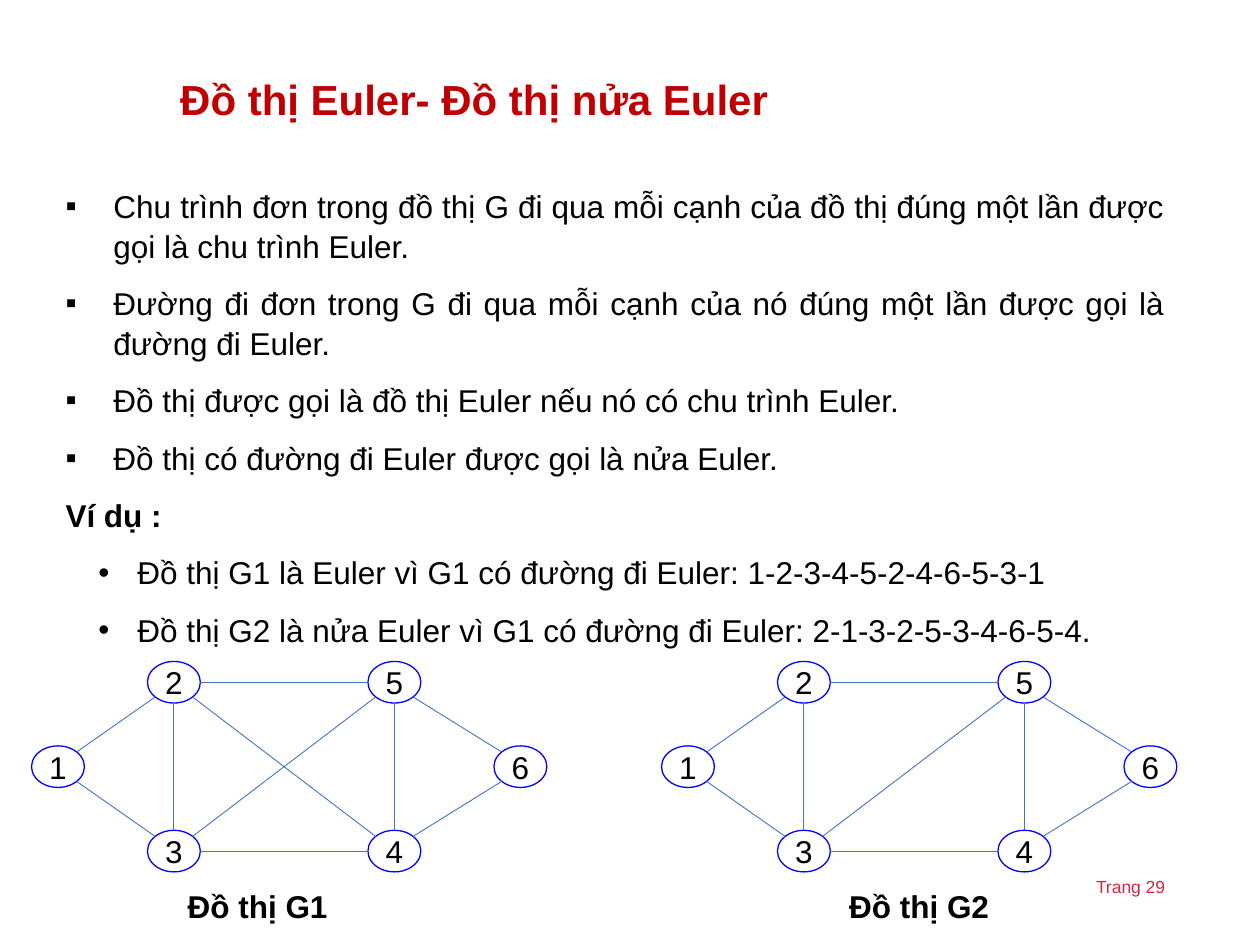
from dataclasses import dataclass

from lxml import etree
from pptx import Presentation
from pptx.dml.color import RGBColor
from pptx.enum.shapes import MSO_CONNECTOR, MSO_SHAPE
from pptx.enum.text import MSO_ANCHOR, MSO_AUTO_SIZE, PP_ALIGN
from pptx.oxml.ns import qn
from pptx.util import Inches, Pt

ELLIPSE = MSO_SHAPE.OVAL
STRAIGHT = MSO_CONNECTOR.STRAIGHT
LEFT, CENTER, JUSTIFY = PP_ALIGN.LEFT, PP_ALIGN.CENTER, PP_ALIGN.JUSTIFY
MIDDLE = MSO_ANCHOR.MIDDLE
NO_AUTOFIT = MSO_AUTO_SIZE.NONE

FONT = "Arial"
COLORS = {
    "title": "C00000",
    "text": "000000",
    "page": "CF2941",
    "node": "0000FF",
    "edge": "4472C4",
}

# Graph geometry in inches: node size and offsets from the graph's left edge
NODE_WIDTH, NODE_HEIGHT = 0.42, 0.33
GRAPH_TOP = 5.25
ROW = 0.67
NODES = {
    "2": (0.92, 0),
    "5": (2.67, 0),
    "3": (0.92, 2 * ROW),
    "4": (2.67, 2 * ROW),
    "1": (0, ROW),
    "6": (3.67, ROW),
}
DIAGONAL = 0.5 ** 0.5


@dataclass(frozen=True)
class Item:
    text: str
    bullet: str = ""
    margin: float = 0.38
    indent: float = -0.38
    level: int = 0
    bold: bool = False


@dataclass(frozen=True)
class Edge:
    start: str
    end: str
    direction: tuple[int, int]  # side of the start node that the edge leaves from


@dataclass(frozen=True)
class Graph:
    left: float
    caption: str
    caption_left: float
    edges: tuple[Edge, ...]


ITEMS = [
    Item("Chu trình đơn trong đồ thị G đi qua mỗi cạnh của đồ thị đúng một lần "
         "được gọi là chu trình Euler.", "▪"),
    Item("Đường đi đơn trong G đi qua mỗi cạnh của nó đúng một lần được gọi là "
         "đường đi Euler.", "▪"),
    Item("Đồ thị được gọi là đồ thị Euler nếu nó có chu trình Euler.", "▪"),
    Item("Đồ thị có đường đi Euler được gọi là nửa Euler.", "▪"),
    Item("Ví dụ :", bold=True),
    Item("Đồ thị G1 là Euler vì G1 có đường đi Euler: 1-2-3-4-5-2-4-6-5-3-1",
         "•", 0.57, -0.31, 1),
    Item("Đồ thị G2 là nửa Euler vì G1 có đường đi Euler: 2-1-3-2-5-3-4-6-5-4.",
         "•", 0.57, -0.31, 1),
]

SHARED_EDGES = (
    Edge("1", "2", (1, -1)),
    Edge("2", "5", (1, 0)),
    Edge("1", "3", (1, 1)),
    Edge("3", "4", (1, 0)),
    Edge("4", "6", (1, -1)),
    Edge("6", "5", (-1, -1)),
    Edge("2", "3", (0, 1)),
    Edge("5", "4", (0, 1)),
    Edge("3", "5", (1, -1)),
)
GRAPHS = [
    Graph(0.25, "Đồ thị G1", 0.92, SHARED_EDGES + (Edge("2", "4", (1, 1)),)),
    Graph(5.25, "Đồ thị G2", 6.17, SHARED_EDGES),
]


def color(name: str) -> RGBColor:
    return RGBColor.from_string(COLORS[name])


def format_paragraph(paragraph, size: float, color_name: str = "text",
                     bold: bool = False, alignment=LEFT) -> None:
    paragraph.alignment = alignment
    font = paragraph.font
    font.name, font.size, font.bold = FONT, Pt(size), bold
    font.color.rgb = color(color_name)


def place(shape, left: float, top: float, width: float, height: float) -> None:
    shape.left, shape.top = Inches(left), Inches(top)
    shape.width, shape.height = Inches(width), Inches(height)


def set_bullet(paragraph, item: Item) -> None:
    properties = paragraph._p.get_or_add_pPr()
    properties.set("marL", str(Inches(item.margin)))
    properties.set("indent", str(Inches(item.indent)))
    if item.bullet:
        bullet_font = etree.Element(qn("a:buFont"), typeface=FONT)
        bullet = etree.Element(qn("a:buChar"), char=item.bullet)
        parts = [bullet_font, bullet]
    else:
        parts = [etree.Element(qn("a:buNone"))]
    following = properties.find(qn("a:defRPr"))
    for part in parts:
        following.addprevious(part)


def add_label(slide, text: str, left: float, top: float, width: float,
              height: float, size: float, **style) -> None:
    label = slide.shapes.add_textbox(
        Inches(left), Inches(top), Inches(width), Inches(height))
    label.text_frame.word_wrap = True
    paragraph = label.text_frame.paragraphs[0]
    paragraph.text = text
    format_paragraph(paragraph, size, **style)


def rim_point(graph: Graph, node: str, direction: tuple[int, int]) -> tuple[float, float]:
    """Point on the node's outline in one of eight directions."""
    x, y = NODES[node]
    scale = DIAGONAL if all(direction) else 1
    return (graph.left + x + NODE_WIDTH / 2 * (1 + scale * direction[0]),
            GRAPH_TOP + y + NODE_HEIGHT / 2 * (1 + scale * direction[1]))


def add_node(slide, graph: Graph, name: str) -> None:
    x, y = NODES[name]
    node = slide.shapes.add_shape(
        ELLIPSE, Inches(graph.left + x), Inches(GRAPH_TOP + y),
        Inches(NODE_WIDTH), Inches(NODE_HEIGHT))
    node.shadow.inherit = False
    node.fill.background()
    node.line.color.rgb = color("node")
    node.line.width = Pt(0.75)
    frame = node.text_frame
    frame.word_wrap = False
    frame.vertical_anchor = MIDDLE
    frame.text = name
    format_paragraph(frame.paragraphs[0], 18, alignment=CENTER)


def add_edge(slide, graph: Graph, edge: Edge) -> None:
    opposite = (-edge.direction[0], -edge.direction[1])
    points = (*rim_point(graph, edge.start, edge.direction),
              *rim_point(graph, edge.end, opposite))
    line = slide.shapes.add_connector(STRAIGHT, *(Inches(value) for value in points))
    line.line.color.rgb = color("edge")
    line.line.width = Pt(0.5)
    etree.SubElement(line._element.spPr, qn("a:effectLst"))


def add_graph(slide, graph: Graph) -> None:
    for name in NODES:
        add_node(slide, graph, name)
    for edge in graph.edges:
        add_edge(slide, graph, edge)
    add_label(slide, graph.caption, graph.caption_left, 6.99, 2.25, 0.4, 18,
              bold=True, alignment=CENTER)


def main() -> None:
    presentation = Presentation()
    presentation.slide_width, presentation.slide_height = Inches(10), Inches(7.5)
    slide = presentation.slides.add_slide(presentation.slide_layouts[1])
    title, body = slide.placeholders

    # Title
    place(title, 1.33, 0.4, 7.98, 0.82)
    title.text_frame.text = "Đồ thị Euler- Đồ thị nửa Euler"
    title.text_frame.auto_size = NO_AUTOFIT
    title.text_frame.vertical_anchor = MIDDLE
    heading = title.text_frame.paragraphs[0]
    heading.line_spacing = 0.9
    format_paragraph(heading, 24, "title", bold=True)

    # Definitions and examples
    place(body, 0.42, 1.42, 8.92, 3.65)
    frame = body.text_frame
    frame.auto_size = NO_AUTOFIT
    frame.text = "\n".join(item.text for item in ITEMS)
    for paragraph, item in zip(frame.paragraphs, ITEMS):
        paragraph.level = item.level
        paragraph.line_spacing = 1.05
        paragraph.space_before = Pt(10.1)
        format_paragraph(paragraph, 18, bold=item.bold, alignment=JUSTIFY)
        set_bullet(paragraph, item)

    # Graphs and page number
    for graph in GRAPHS:
        add_graph(slide, graph)
    add_label(slide, "Trang 29", 8.6, 6.9, 1.21, 0.27, 10, color_name="page")

    presentation.save("out.pptx")


if __name__ == "__main__":
    main()
